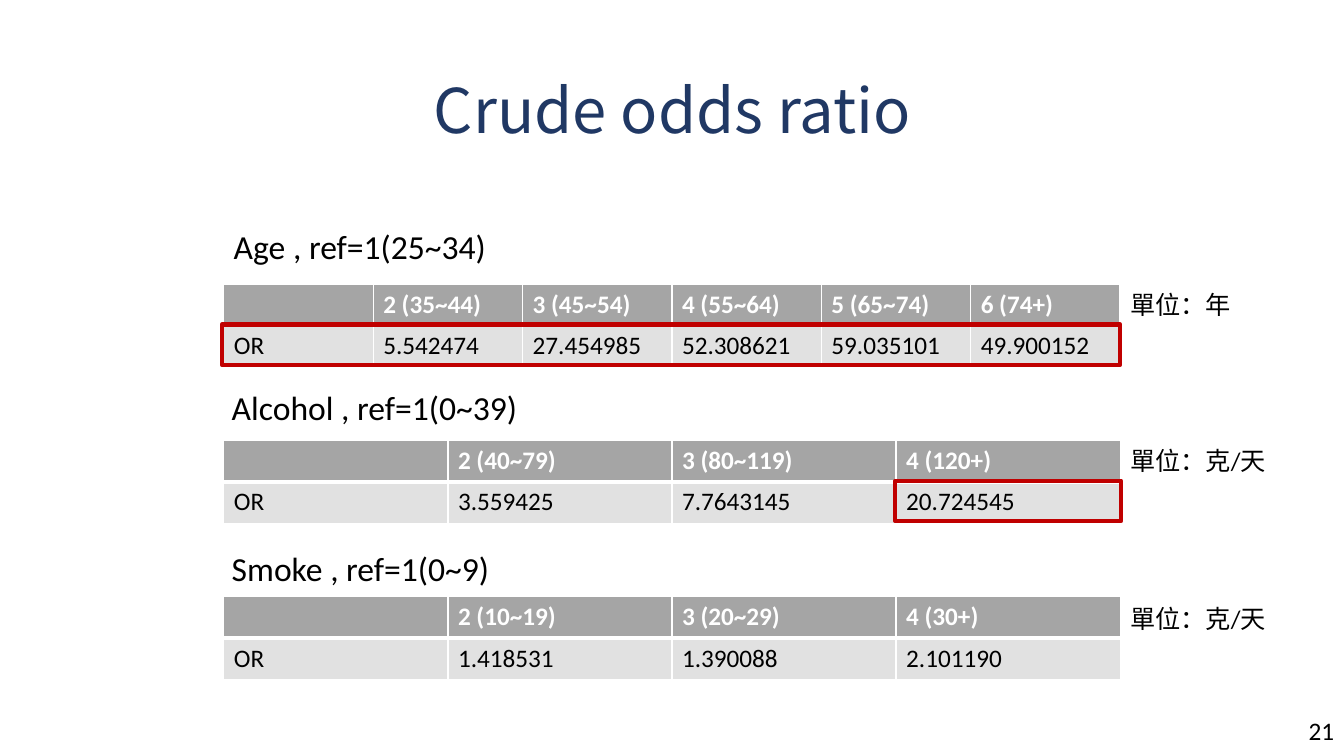
from lxml import etree
from pptx import Presentation
from pptx.dml.color import RGBColor
from pptx.enum.shapes import MSO_SHAPE
from pptx.enum.text import MSO_ANCHOR, PP_ALIGN
from pptx.oxml.ns import qn
from pptx.util import Inches, Pt

RECT = MSO_SHAPE.RECTANGLE
CENTER = PP_ALIGN.CENTER
MIDDLE, TOP = MSO_ANCHOR.MIDDLE, MSO_ANCHOR.TOP

TABLE_LEFT, TABLE_WIDTH, ROW_HEIGHT = 2.22, 8.89, 0.41
UNIT_LEFT = TABLE_LEFT + TABLE_WIDTH

# Label box (left, top, width), table top, unit box (text, top, width, wrap), columns
SECTIONS = [
    ("Age , ref=1(25~34)", (2.22, 2.19, 2.73), 2.82,
     ("單位：年", 2.82, 1.21, False),
     [("2 (35~44)", "5.542474"), ("3 (45~54)", "27.454985"),
      ("4 (55~64)", "52.308621"), ("5 (65~74)", "59.035101"),
      ("6 (74+)", "49.900152")]),
    ("Alcohol , ref=1(0~39)", (2.2, 3.79, 3.06), 4.37,
     ("單位：克/天", 4.37, 1.56, True),
     [("2 (40~79)", "3.559425"), ("3 (80~119)", "7.7643145"),
      ("4 (120+)", "20.724545")]),
    ("Smoke , ref=1(0~9)", (2.2, 5.39, 2.78), 5.92,
     ("單位：克/天", 5.94, 1.56, True),
     [("2 (10~19)", "1.418531"), ("3 (20~29)", "1.390088"),
      ("4 (30+)", "2.101190")]),
]


def rgb(color):
    return RGBColor.from_string(color)


def write(tf, text, size=18, color="000000", bold=False, font="Calibri", align=None):
    p = tf.paragraphs[0]
    p.alignment = align
    r = p.add_run()
    r.text = text
    r.font.size = Pt(size)
    r.font.name = font
    r.font.bold = bold
    r.font.color.rgb = rgb(color)
    return p


def add_text(s, text, left, top, width, height=0.4, wrap=False, anchor=TOP, **fmt):
    sp = s.shapes.add_textbox(Inches(left), Inches(top), Inches(width), Inches(height))
    tf = sp.text_frame
    tf.word_wrap = wrap
    tf.vertical_anchor = anchor
    return write(tf, text, **fmt)


def set_borders(cell, **widths):
    """Draw white cell borders; must run before the cell gets its fill."""
    tc_pr = cell._tc.get_or_add_tcPr()
    for side in ("L", "R", "T", "B"):
        ln = etree.SubElement(tc_pr, qn(f"a:ln{side}"), w=str(Pt(widths.get(side, 1))))
        fill = etree.SubElement(ln, qn("a:solidFill"))
        etree.SubElement(fill, qn("a:srgbClr"), val="FFFFFF")


def add_odds_table(s, top, columns):
    rows = list(zip(("", "OR"), *columns))
    count = len(rows[0])
    table = s.shapes.add_table(2, count, Inches(TABLE_LEFT), Inches(top),
                               Inches(TABLE_WIDTH), Inches(2 * ROW_HEIGHT)).table
    for column in table.columns:
        column.width = Inches(TABLE_WIDTH / count)
    for i, values in enumerate(rows):
        header = i == 0
        table.rows[i].height = Inches(ROW_HEIGHT)
        for j, value in enumerate(values):
            cell = table.cell(i, j)
            set_borders(cell, **({"B": 3} if header else {"T": 3}))
            cell.fill.solid()
            cell.fill.fore_color.rgb = rgb("A5A5A5" if header else "E1E1E1")
            if value:
                write(cell.text_frame, value, bold=header,
                      color="FFFFFF" if header else "000000")


def add_highlight(s, left, top, width):
    sp = s.shapes.add_shape(RECT, Inches(left), Inches(top), Inches(width), Inches(0.4))
    sp.shadow.inherit = False
    sp.fill.background()
    sp.line.color.rgb = rgb("C00000")
    sp.line.width = Pt(3)


def main():
    prs = Presentation()
    prs.slide_width, prs.slide_height = Inches(13.33), Inches(7.5)
    s = prs.slides.add_slide(prs.slide_layouts[6])

    # Title
    p = add_text(s, "Crude odds ratio", 0.92, 0.4, 11.5, 1.45, wrap=True, anchor=MIDDLE,
                 size=44, color="203864", font="Noto Sans CJK SC", align=CENTER)
    p.line_spacing = 0.9

    # Label, table and unit of each factor
    for label, label_box, table_top, unit, columns in SECTIONS:
        add_odds_table(s, table_top, columns)
        add_text(s, label, *label_box, height=0.5, size=24)
        text, top, width, wrap = unit
        add_text(s, text, UNIT_LEFT, top, width, wrap=wrap)

    # Highlighted results
    add_highlight(s, 2.2, 3.22, 8.91)
    add_highlight(s, 8.88, 4.77, 2.24)

    # Page number
    add_text(s, "21", 12.88, 7.05, 0.46)

    prs.save("out.pptx")


if __name__ == "__main__":
    main()
